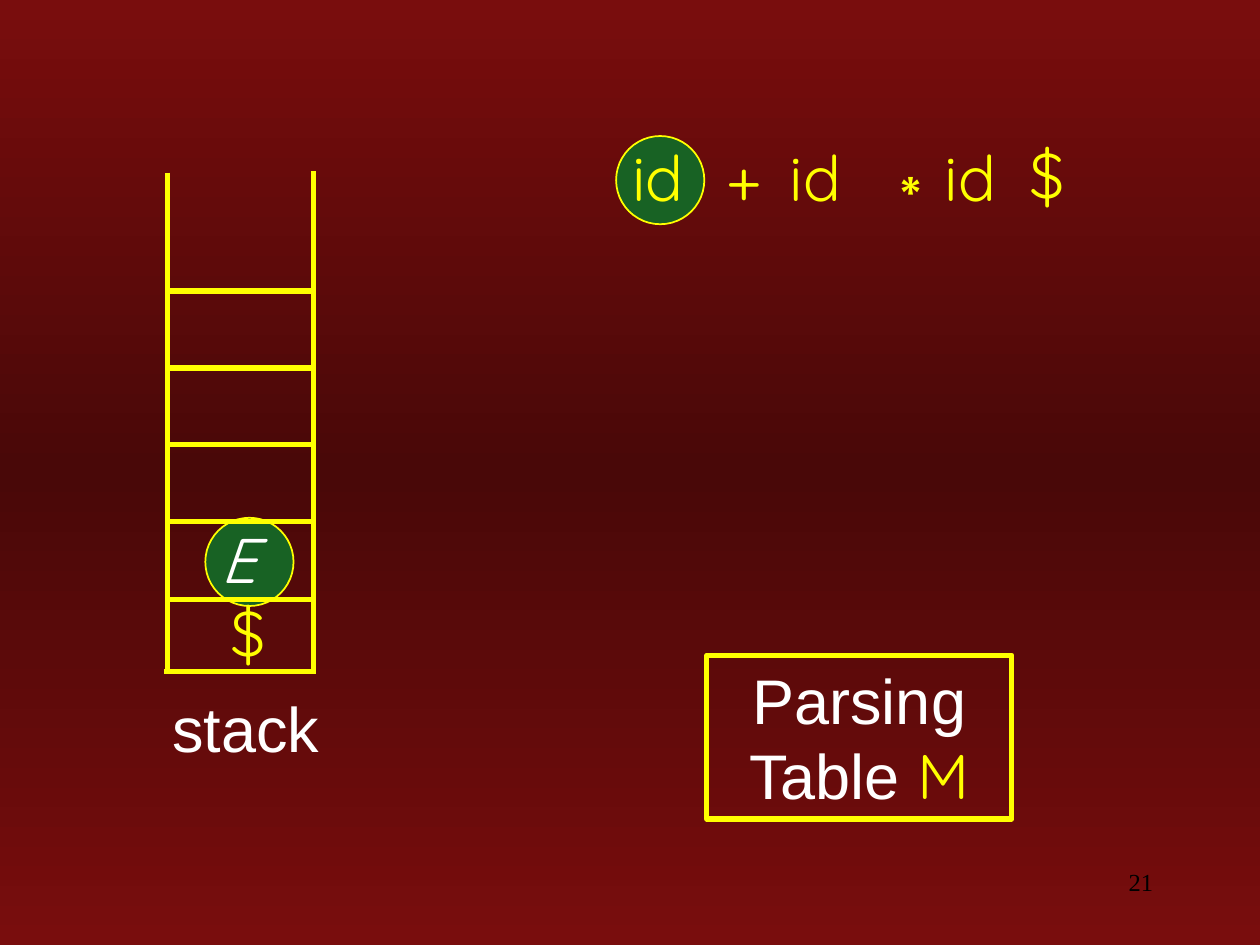
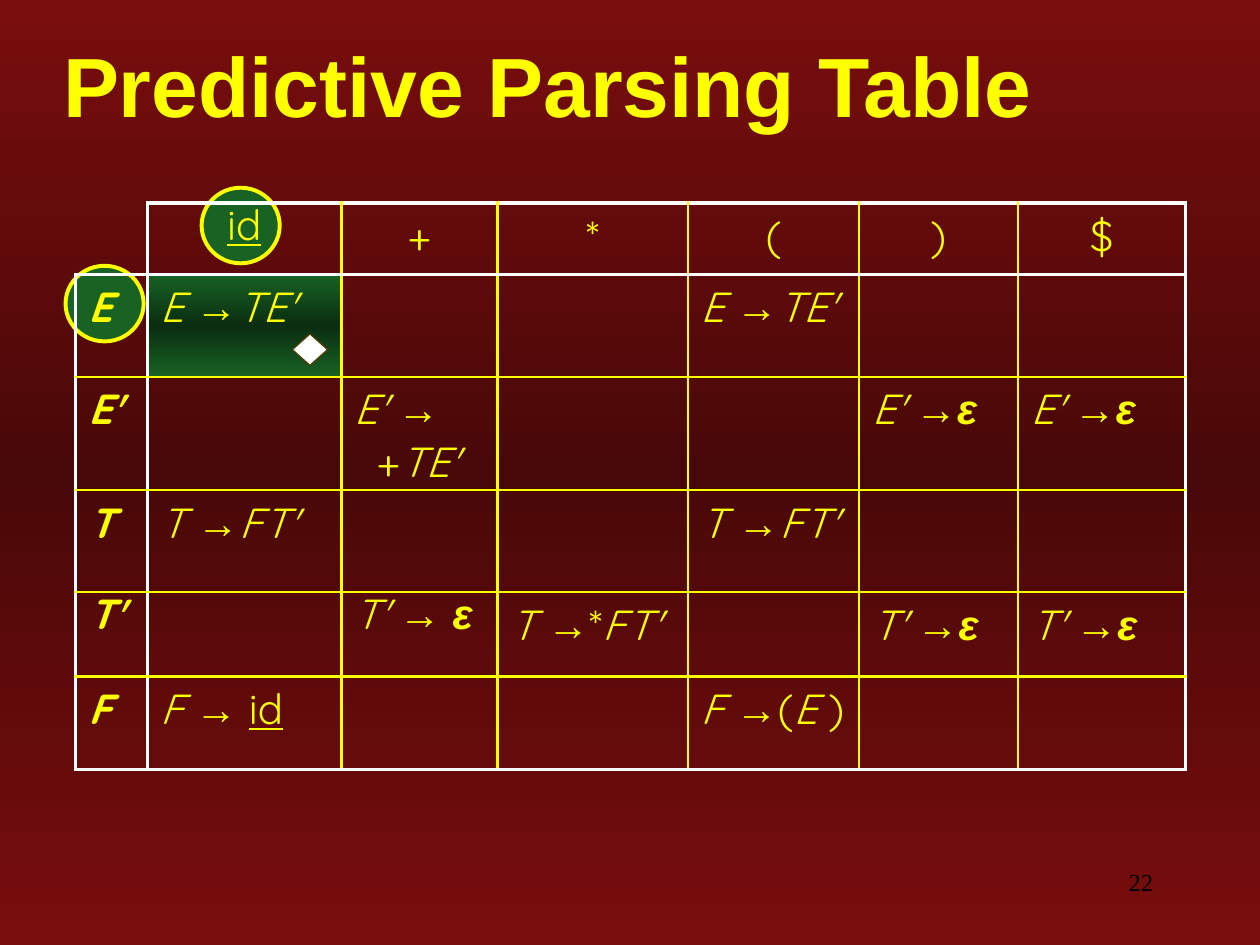
from dataclasses import dataclass

from lxml import etree
from pptx import Presentation, util as u
from pptx.dml.color import RGBColor
from pptx.enum import shapes, text
from pptx.oxml import parse_xml
from pptx.oxml.ns import nsdecls, qn


@dataclass(frozen=True)
class Theme:
    edge: str = "790D0D"
    core: str = "490808"
    green: str = "186224"
    dark_green: str = "0B2D11"
    yellow: str = "FFFF00"
    white: str = "FFFFFF"
    black: str = "000000"
    brown: str = "503C04"
    sans: str = "Arial"
    symbol: str = "Quicksand"
    serif: str = "Times New Roman"
    title: int = 48
    label: int = 36
    cell: int = 24
    number: int = 14


theme = Theme()
rgb = RGBColor.from_string


def apply_gradient(fill, element, outer, inner):
    fill.gradient()
    fill.gradient_angle = 270
    stops = element.xpath(".//a:gsLst")[0]
    for stop in list(stops):
        stops.remove(stop)
    for position, color in ((0, outer), (50000, inner), (100000, outer)):
        stops.append(parse_xml(
            f'<a:gs {nsdecls("a")} pos="{position}"><a:srgbClr val="{color}"/></a:gs>'))


def add_label(page, words, left, top, width, height=0.7, font=theme.symbol,
              color=theme.yellow, size=theme.label):
    box = page.shapes.add_textbox(*map(u.Inches, (left, top, width, height)))
    box.text_frame.word_wrap = True
    para = box.text_frame.paragraphs[0]
    para.add_run().text = words
    para.font.name = font
    para.font.size = u.Pt(size)
    para.font.color.rgb = rgb(color)
    return para


deck = Presentation()
deck.slide_width, deck.slide_height = u.Inches(10), u.Inches(7.5)
master = deck.slide_master
apply_gradient(master.background.fill, master.element, theme.edge, theme.core)

stack_page = deck.slides.add_slide(deck.slide_layouts[6])
table_page = deck.slides.add_slide(deck.slide_layouts[5])

for number, page in enumerate((stack_page, table_page), 21):
    para = add_label(page, str(number), 7.17, 6.83, 2.08, 0.5,
                     theme.serif, theme.black, theme.number)
    para.alignment = text.PP_ALIGN.RIGHT

OVAL, DIAMOND = shapes.MSO_SHAPE.OVAL, shapes.MSO_SHAPE.DIAMOND
for page, left, top, width, height, weight in (
    (stack_page, 4.89, 1.08, 0.7, 0.7, 1),
    (stack_page, 1.63, 4.11, 0.7, 0.7, 1),
    (table_page, 0.52, 2.11, 0.62, 0.6, 2.25),
    (table_page, 1.6, 1.49, 0.62, 0.6, 2.25),
):
    marker = page.shapes.add_shape(OVAL, *map(u.Inches, (left, top, width, height)))
    marker.shadow.inherit = False
    marker.fill.solid()
    marker.fill.fore_color.rgb = rgb(theme.green)
    marker.line.color.rgb = rgb(theme.yellow)
    marker.line.width = u.Pt(weight)

top_symbol = add_label(stack_page, "E", 1.65, 4.08, 0.74, color=theme.white)
top_symbol.font.italic = True

rails = [(1.33, 1.37, 1.33, 5.35), (2.49, 1.36, 2.49, 5.35)]
rungs = [(1.31, y, 2.49, y) for y in (2.31, 2.92, 3.53, 4.14, 4.76)]
base = [(1.3, 5.33, 2.51, 5.33)]
stack = stack_page.shapes.add_group_shape()
for ends in rails + rungs + base:
    bar = stack.shapes.add_connector(shapes.MSO_CONNECTOR.STRAIGHT, *map(u.Inches, ends))
    bar.line.color.rgb = rgb(theme.yellow)
    bar.line.width = u.Pt(3)
    etree.SubElement(bar.element.spPr, qn("a:effectLst"))

for symbol, left, top, width in (
    ("id", 4.92, 1.05, 0.74),
    ("+", 5.67, 1.05, 0.43),
    ("id", 6.17, 1.05, 0.74),
    ("id", 7.4, 1.05, 0.74),
    ("$", 8.07, 1.03, 0.53),
    ("$", 1.73, 4.66, 0.53),
):
    add_label(stack_page, symbol, left, top, width)
add_label(stack_page, "∗", 6.88, 1.05, 0.42, font=theme.sans)
add_label(stack_page, "stack", 1.27, 5.42, 1.42, font=theme.sans, color=theme.white)

table_box = stack_page.shapes.add_shape(
    shapes.MSO_SHAPE.RECTANGLE, *map(u.Inches, (5.61, 5.2, 2.42, 1.3)))
table_box.shadow.inherit = False
table_box.fill.background()
table_box.line.color.rgb = rgb(theme.yellow)
table_box.line.width = u.Pt(3)
table_box.text_frame.word_wrap = True
table_box.text_frame.vertical_anchor = text.MSO_ANCHOR.TOP
para = table_box.text_frame.paragraphs[0]
para.alignment = text.PP_ALIGN.CENTER
para.font.size = u.Pt(theme.label)
for words, font, color in (("Parsing Table ", theme.sans, theme.white),
                           ("M", theme.symbol, theme.yellow)):
    span = para.add_run()
    span.text = words
    span.font.name = font
    span.font.color.rgb = rgb(color)

title = table_page.shapes.title
title.left, title.top, title.width, title.height = map(u.Inches, (0.4, 0.25, 10, 0.83))
title.text_frame.auto_size = text.MSO_AUTO_SIZE.NONE
title.text_frame.vertical_anchor = text.MSO_ANCHOR.MIDDLE
para = title.text_frame.paragraphs[0]
para.alignment = text.PP_ALIGN.LEFT
para.font.name = theme.sans
para.font.size = u.Pt(theme.title)
para.font.color.rgb = rgb(theme.yellow)
span = para.add_run()
span.text = "Predictive Parsing Table"
span.font.bold = True
title.element.xpath(".//a:rPr")[0].append(parse_xml(
    f'<a:effectLst {nsdecls("a")}><a:outerShdw dist="17961" dir="2700000">'
    f'<a:srgbClr val="{theme.white}"/></a:outerShdw></a:effectLst>'))

grammar = [
    ["", "id", "+", "*", "(", ")", "$"],
    ["E", "E |→|TE'", "", "", "E |→|TE'", "", ""],
    ["E'", "", "E' |→|\n|+|TE'", "", "", "E' |→|ε", "E' |→|ε"],
    ["T", "T |→|FT'", "", "", "T |→|FT'", "", ""],
    ["T'", "", "T' |→ |ε", "T |→|*|FT'", "", "T' |→|ε", "T' |→|ε"],
    ["F", "F |→ |id", "", "", "F |→|(|E| )", "", ""],
]
tight_cells = {(0, 1), (4, 0), (4, 2)}
widths = (0.57, 1.54, 1.24, 1.51, 1.36, 1.26, 1.33)
heights = (0.57, 0.81, 0.9, 0.81, 0.67, 0.74)
frame = table_page.shapes.add_table(
    len(heights), len(widths), *map(u.Inches, (0.6, 1.61, 8.81, 4.5)))
table = frame.table
table.first_row = table.horz_banding = False
for column, width in zip(table.columns, widths):
    column.width = u.Inches(width)
for row, height in zip(table.rows, heights):
    row.height = u.Inches(height)

cell_elements = iter(frame.element.xpath(".//a:tc"))
for r, row in enumerate(grammar):
    for c, entry in enumerate(row):
        cell, element = table.cell(r, c), next(cell_elements)
        cell.vertical_anchor = text.MSO_ANCHOR.TOP
        properties = element.xpath("a:tcPr")[0]
        for side, strong in (("L", c in (0, 1)), ("R", c in (0, 6)),
                             ("T", r in (0, 1)), ("B", r in (0, 5))):
            border = etree.SubElement(properties, qn(f"a:ln{side}"))
            if r == c == 0 and side in "LT":
                etree.SubElement(border, qn("a:noFill"))
                continue
            border.set("w", str(u.Pt(2.21 if strong else 1.47)))
            paint = etree.SubElement(border, qn("a:solidFill"))
            etree.SubElement(paint, qn("a:srgbClr")).set(
                "val", theme.white if strong else theme.yellow)
        if (r, c) == (1, 1):
            apply_gradient(cell.fill, element, theme.green, theme.dark_green)
        else:
            cell.fill.background()
        if not entry:
            continue
        para = cell.text_frame.paragraphs[0]
        if r == 0:
            para.alignment = text.PP_ALIGN.CENTER
        if (r, c) in tight_cells:
            para.line_spacing = 0.75
        if "\n" in entry:
            layout = element.xpath(".//a:p")[0].get_or_add_pPr()
            layout.set("marL", str(u.Inches(0.18)))
            layout.set("indent", str(-u.Inches(0.18)))
        para.font.size = u.Pt(theme.cell)
        para.font.color.rgb = rgb(theme.yellow)
        for token in entry.split("|"):
            if token == "\n":
                para.add_line_break()
                continue
            mark = token.strip()[0]
            span = para.add_run()
            span.text = token
            span.font.name = theme.sans if mark in "→ε" else theme.symbol
            span.font.bold = c == 0 or mark in "→ε"
            span.font.italic = mark in "ETFε"
            span.font.underline = token == "id"

diamond = table_page.shapes.add_shape(DIAMOND, *map(u.Inches, (2.32, 2.65, 0.28, 0.25)))
diamond.shadow.inherit = False
diamond.fill.solid()
diamond.fill.fore_color.rgb = rgb(theme.white)
diamond.line.color.rgb = rgb(theme.brown)
diamond.line.width = u.Pt(0.75)

deck.save("out.pptx")
